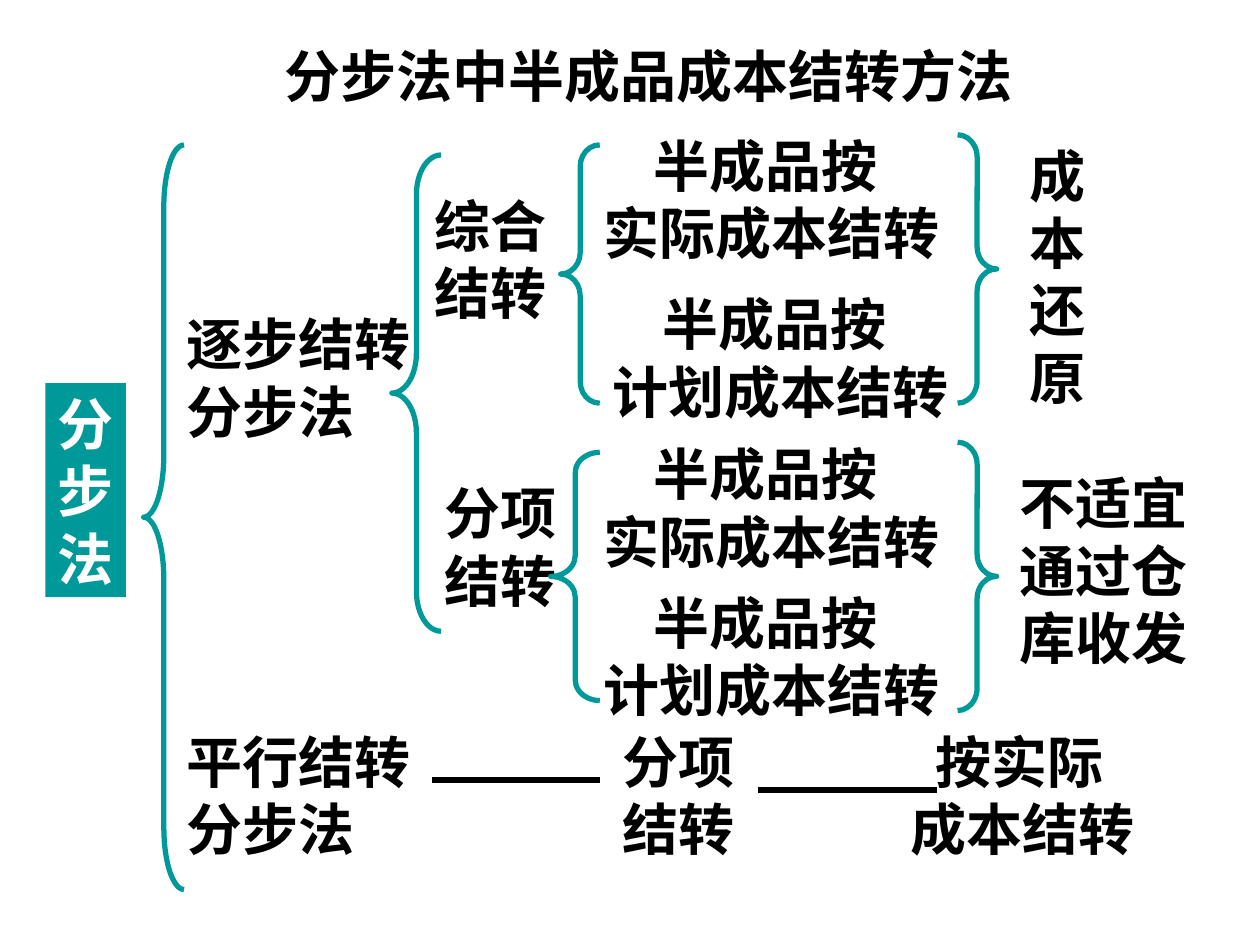
from lxml.etree import SubElement
from pptx import Presentation
from pptx.dml.color import RGBColor
from pptx.enum.shapes import MSO_CONNECTOR, MSO_SHAPE
from pptx.enum.text import MSO_ANCHOR, PP_ALIGN
from pptx.oxml.ns import qn
from pptx.util import Inches, Pt

LEFT = MSO_SHAPE.LEFT_BRACE
RIGHT = MSO_SHAPE.RIGHT_BRACE
RECT = MSO_SHAPE.RECTANGLE
LINE = MSO_CONNECTOR.STRAIGHT
TOP = MSO_ANCHOR.TOP
START = PP_ALIGN.LEFT
TEAL, BLACK, WHITE = "009999", "000000", "FFFFFF"
SERIF, SANS = "Times New Roman", "Noto Sans CJK SC"


def paint(code):
    """Turn a hex string into a colour."""
    return RGBColor.from_string(code)


def write(shape, text, color=BLACK, font=SERIF, indent=0, wrap=True):
    """Fill a shape with one bold paragraph per line of text."""
    frame = shape.text_frame
    frame.word_wrap = wrap
    frame.vertical_anchor = TOP
    frame.margin_left = frame.margin_right = Inches(0.1)
    frame.margin_top = frame.margin_bottom = Inches(0.05)
    for i, line in enumerate(text.split("\n")):
        para = frame.paragraphs[0] if i == 0 else frame.add_paragraph()
        para.alignment = START
        para.line_spacing = Pt(38.5)
        if i == 0 and indent:
            para._p.get_or_add_pPr().set("indent", str(Inches(indent)))
        run = para.add_run()
        run.text = line
        run.font.size = Pt(32)
        run.font.bold = True
        run.font.color.rgb = paint(color)
        run.font.name = font
        SubElement(run._r.get_or_add_rPr(), qn("a:ea"), typeface=SANS)


def label(slide, x, y, w, h, text, **style):
    """Add a text box."""
    box = slide.shapes.add_textbox(Inches(x), Inches(y), Inches(w), Inches(h))
    write(box, text, **style)


def root(slide, x, y, w, h, text):
    """Add the filled box where the tree starts."""
    box = slide.shapes.add_shape(RECT, Inches(x), Inches(y), Inches(w), Inches(h))
    box.shadow.inherit = False
    box.fill.solid()
    box.fill.fore_color.rgb = paint(TEAL)
    box.line.fill.background()
    write(box, text, color=WHITE, wrap=False)


def brace(slide, kind, x, y, w, h):
    """Add a curly brace whose curls take a twelfth of its height."""
    shape = slide.shapes.add_shape(kind, Inches(x), Inches(y), Inches(w), Inches(h))
    shape.shadow.inherit = False
    shape.adjustments[0] = h / 12 / w
    shape.fill.background()
    shape.line.color.rgb = paint(TEAL)
    shape.line.width = Pt(3)


def link(slide, x, y, end):
    """Add a level black line."""
    line = slide.shapes.add_connector(LINE, Inches(x), Inches(y), Inches(end), Inches(y))
    line.line.color.rgb = paint(BLACK)
    line.line.width = Pt(3)
    SubElement(line._element.spPr, qn("a:effectLst"))


def main():
    """Build the slide and save it."""
    deck = Presentation()
    deck.slide_width, deck.slide_height = Inches(10), Inches(7.5)
    slide = deck.slides.add_slide(deck.slide_layouts[6])

    root(slide, 0.36, 3.04, 0.64, 1.7, "分\n步\n法")
    label(slide, 2.16, 0.28, 6.3, 0.64, "分步法中半成品成本结转方法")

    for x, y, w, text in (
        (1.38, 2.41, 2.28, "逐步结转\n分步法"),
        (1.38, 5.72, 2.28, "平行结转\n分步法"),
        (3.35, 1.47, 1.42, "综合\n结转"),
        (3.43, 3.75, 1.5, "分项\n结转"),
        (4.84, 5.72, 1.57, "分项\n结转"),
    ):
        label(slide, x, y, w, 1.17, text)

    for x, y, basis in (
        (4.69, 0.99, "实际"),
        (4.76, 2.25, "计划"),
        (4.69, 3.44, "实际"),
        (4.69, 4.62, "计划"),
    ):
        label(slide, x, y, 3.15, 1.17, f"半成品按\n{basis}成本结转",
              font=SANS, indent=0.4)

    label(slide, 7.13, 5.72, 2.44, 1.17, "按实际\n成本结转", font=SANS, indent=0.2)
    label(slide, 8.07, 1.07, 0.64, 2.24, "成\n本\n还\n原", wrap=False)
    label(slide, 7.99, 3.67, 1.73, 1.7, "不适宜\n通过仓\n库收发")

    for kind, x, y, w, h in (
        (LEFT, 1.14, 1.15, 0.32, 5.91),
        (LEFT, 3.11, 1.23, 0.39, 3.78),
        (LEFT, 4.45, 1.15, 0.31, 2.05),
        (LEFT, 4.37, 3.59, 0.39, 1.97),
        (RIGHT, 7.6, 1.07, 0.31, 2.13),
        (RIGHT, 7.6, 3.51, 0.31, 2.13),
    ):
        brace(slide, kind, x, y, w, h)

    link(slide, 3.43, 6.19, 4.76)
    link(slide, 6.02, 6.27, 7.44)
    deck.save("out.pptx")


if __name__ == "__main__":
    main()
